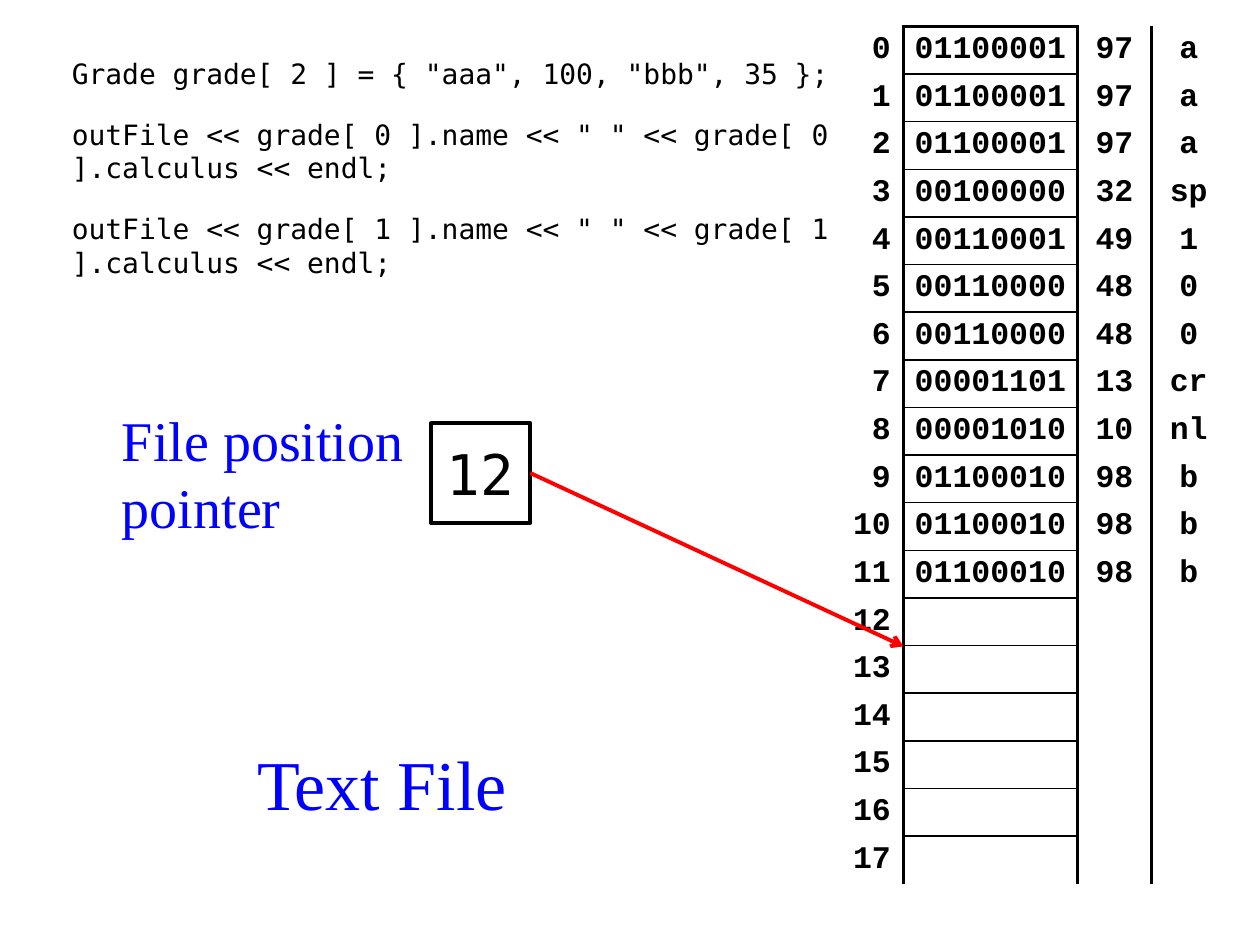
from pptx import Presentation, util as u
from pptx.dml.color import RGBColor
from pptx.enum import shapes, text
from pptx.oxml import parse_xml
from pptx.oxml.ns import nsdecls, qn

BLACK = RGBColor(0x00, 0x00, 0x00)
BLUE = RGBColor(0x00, 0x00, 0xFF)
RED = RGBColor(0xFF, 0x00, 0x00)
SERIF, MONO, COURIER = "Times New Roman", "DejaVu Sans Mono", "Courier New"
LEFT, CENTER, RIGHT = text.PP_ALIGN.LEFT, text.PP_ALIGN.CENTER, text.PP_ALIGN.RIGHT
MIDDLE, TOP = text.MSO_ANCHOR.MIDDLE, text.MSO_ANCHOR.TOP
NO_STYLE = "{2D5ABB26-0587-4C30-8999-92F81FD0307C}"
HEAVY, THIN = 2.25, 1
COLUMNS, ROWS = 100, 75


class Board:
    """Draw styled elements on one page, measured in columns and rows of a grid."""

    def __init__(self, deck):
        self.column = deck.slide_width / COLUMNS
        self.row = deck.slide_height / ROWS
        self.page = deck.slides.add_slide(deck.slide_layouts[1])

    def area(self, left, top, width, height):
        return (u.Emu(round(left * self.column)), u.Emu(round(top * self.row)),
                u.Emu(round(width * self.column)), u.Emu(round(height * self.row)))

    def style(self, para, font, size, color, align, bold=False):
        para.alignment = align
        para.font.name, para.font.size = font, u.Pt(size)
        para.font.color.rgb, para.font.bold = color, bold

    def fill_text(self, box, lines, font, size, color, align=LEFT, anchor=MIDDLE, wrap=True):
        frame = box.text_frame
        frame.text = "\n".join(lines)
        frame.word_wrap, frame.vertical_anchor = wrap, anchor
        frame.auto_size = text.MSO_AUTO_SIZE.NONE
        for para in frame.paragraphs:
            self.style(para, font, size, color, align)

    def placeholder(self, index, place, lines, *style, **layout):
        box = self.page.placeholders[index]
        box.left, box.top, box.width, box.height = self.area(*place)
        self.fill_text(box, lines, *style, **layout)
        return box

    def code(self, place, lines, gap):
        box = self.placeholder(1, place, lines, MONO, 16, BLACK, anchor=TOP)
        for para in box.text_frame.paragraphs:
            para.space_before = u.Pt(gap)
            props = para._p.get_or_add_pPr()
            props.set("marL", "0")
            props.set("indent", "0")
            props.insert_element_before(
                parse_xml(f"<a:buNone {nsdecls('a')}/>"), "a:tabLst", "a:defRPr", "a:extLst")

    def label(self, place, lines, size):
        box = self.page.shapes.add_textbox(*self.area(*place))
        self.fill_text(box, lines, SERIF, size, BLUE, wrap=False)

    def square(self, place, value):
        box = self.page.shapes.add_shape(shapes.MSO_SHAPE.RECTANGLE, *self.area(*place))
        box.shadow.inherit = False
        box.fill.background()
        box.line.color.rgb, box.line.width = BLACK, u.Pt(HEAVY)
        self.fill_text(box, [value], MONO, 32, BLACK, align=CENTER, wrap=False)
        return box

    def arrow(self, source, column, row):
        x, y, _, _ = self.area(column, row, 0, 0)
        line = self.page.shapes.add_connector(shapes.MSO_CONNECTOR.STRAIGHT, 0, 0, x, y)
        line.begin_connect(source, 3)
        line.line.color.rgb, line.line.width = RED, u.Pt(HEAVY)
        props = line._element.spPr
        props.find(qn("a:ln")).append(
            parse_xml(f'<a:tailEnd {nsdecls("a")} type="arrow"/>'))
        props.append(parse_xml(f"<a:effectLst {nsdecls('a')}/>"))

    def borders(self, cell, **widths):
        props = cell._tc.get_or_add_tcPr()
        for side in "LRTB":
            if side in widths:
                props.append(parse_xml(
                    f'<a:ln{side} {nsdecls("a")} w="{int(u.Pt(widths[side]))}"><a:solidFill>'
                    f'<a:srgbClr val="{BLACK}"/></a:solidFill></a:ln{side}>'))

    def memory(self, place, widths, records):
        table = self.page.shapes.add_table(
            len(records), len(widths), *self.area(*place)).table
        table.first_row = table.horz_banding = False
        table._tbl.tblPr.find(qn("a:tableStyleId")).text = NO_STYLE
        for column, width in zip(table.columns, widths):
            column.width = u.Emu(round(width * self.column))
        last = len(records) - 1
        for number, record in enumerate(records):
            byte_edges = {"L": HEAVY, "R": HEAVY, "T": THIN if number else HEAVY}
            if number < last:
                byte_edges["B"] = THIN
            edges = [{"R": HEAVY}, byte_edges, {"L": HEAVY}, {}]
            for index, value in enumerate(record):
                cell = table.cell(number, index)
                cell.text, cell.vertical_anchor = value, MIDDLE
                cell.margin_top = cell.margin_bottom = u.Inches(0.04)
                cell.margin_left = cell.margin_right = u.Inches(0.08 if index == 1 else 0.1)
                self.style(cell.text_frame.paragraphs[0], COURIER, 18, BLACK,
                           CENTER if index else RIGHT, bold=True)
                self.borders(cell, **edges[index])
                cell.fill.background()


deck = Presentation()
deck.slide_width, deck.slide_height = u.Inches(10), u.Inches(7.5)
board = Board(deck)

characters = ["a"] * 3 + ["sp", "1", "0", "0", "cr", "nl"] + ["b"] * 3
control_codes = {"sp": 32, "cr": 13, "nl": 10}
records = []
for address in range(18):
    stored = ["", "", ""]
    if address < len(characters):
        name = characters[address]
        code = control_codes.get(name) or ord(name)
        stored = [f"{code:08b}", str(code), name]
    records.append([str(address), *stored])

board.memory((65.8, 2.1, 31.5, 68.1), (5.9, 13.8, 5.9, 5.9), records)
board.placeholder(0, (18.5, 57.2, 23.6, 9.8), ["Text File"], SERIF, 40, BLUE, align=CENTER)
statements = ['Grade grade[ 2 ] = { "aaa", 100, "bbb", 35 };']
statements += [f'outFile << grade[ {i} ].name << " " << grade[ {i} ].calculus << endl;'
               for i in range(2)]
board.code((4.7, 4, 63, 19.7), statements, 15.5)
pointer = board.square((34.2, 33.6, 7.9, 7.9), "12")
board.arrow(pointer, 71.7, 51.3)
board.label((8.7, 31.6, 25.6, 11.8), ["File position", "pointer"], 32)

deck.save("out.pptx")
